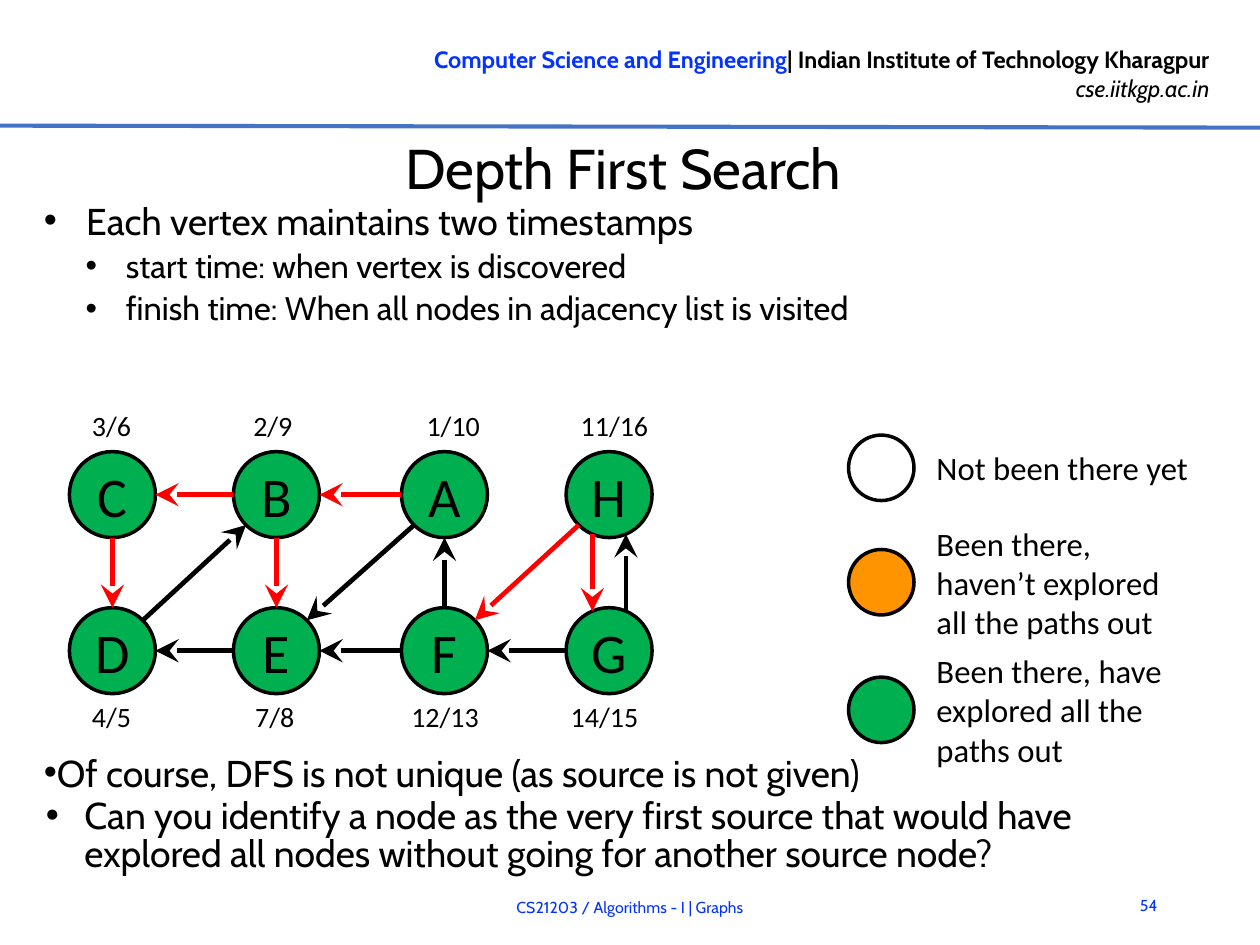
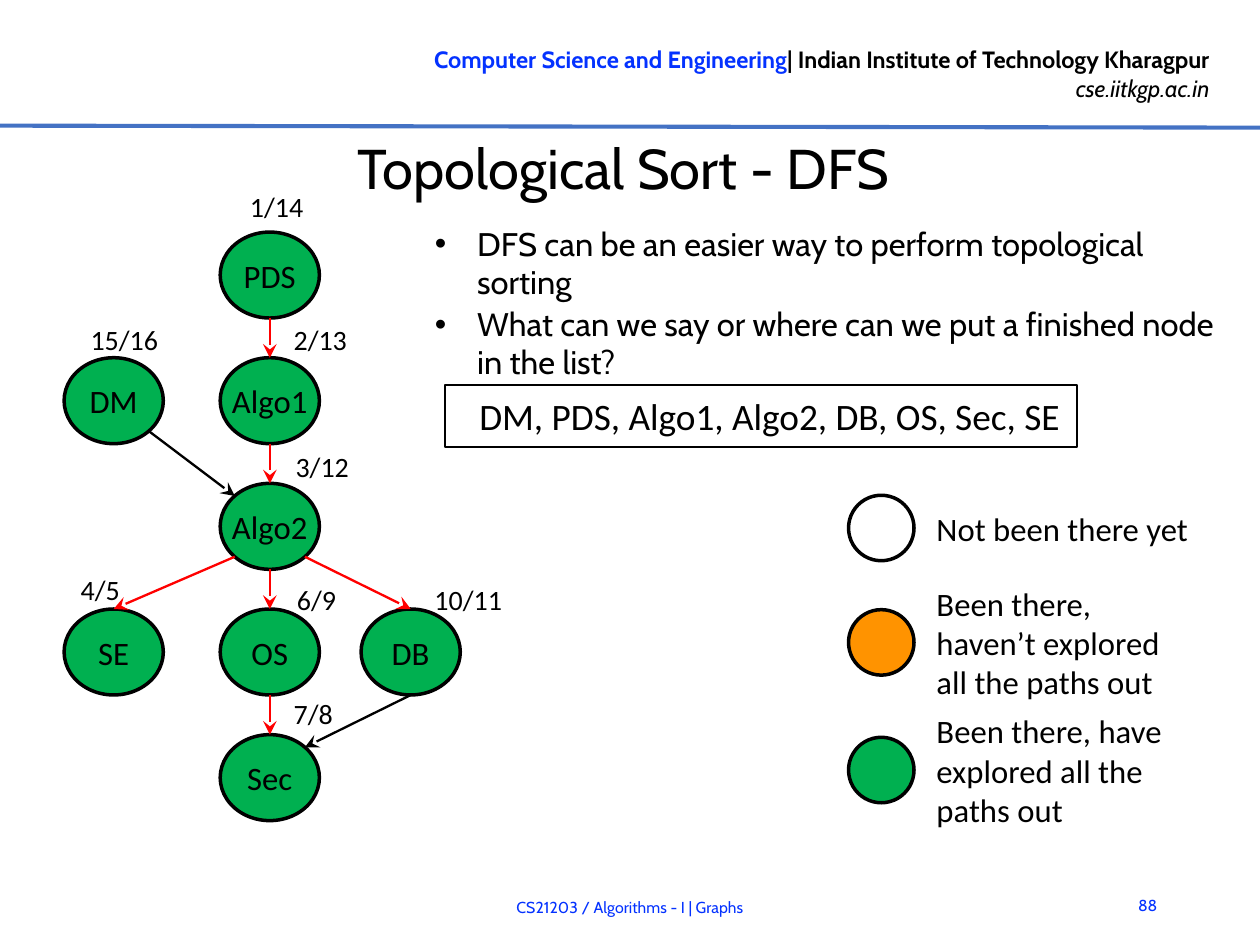
"""Builds two lecture slides on depth first search and topological sorting."""
import math
from dataclasses import dataclass

from lxml import etree
from pptx import Presentation
from pptx.dml.color import RGBColor
from pptx.enum import shapes, text
from pptx.oxml.ns import qn
from pptx.util import Cm, Pt


@dataclass(frozen=True)
class Theme:
    black: RGBColor = RGBColor(0x00, 0x00, 0x00)
    blue: RGBColor = RGBColor(0x04, 0x32, 0xFF)
    rule: RGBColor = RGBColor(0x44, 0x72, 0xC4)
    red: RGBColor = RGBColor(0xFF, 0x00, 0x00)
    orange: RGBColor = RGBColor(0xFF, 0x93, 0x00)
    green: RGBColor = RGBColor(0x00, 0xB0, 0x50)
    heading_font: str = "Cabin"
    diagram_font: str = "Calibri"
    title_size: float = 24
    large_size: float = 16
    medium_size: float = 14
    stamp_size: float = 12
    header_size: float = 10.1
    footer_size: float = 6.8
    outline: float = 1.5


THEME = Theme()
SLIDE_SIZE = (19.05, 14.29)
HEADER = ("Computer Science and Engineering",
          "| Indian Institute of Technology Kharagpur", "cse.iitkgp.ac.in")
FOOTER = "CS21203 / Algorithms - I | Graphs"

LEGEND = [
    (0, None, 4.37, "Not been there yet"),
    (1.73, THEME.orange, 4.29, "Been there, haven’t explored all the paths out"),
    (3.66, THEME.green, 4.29, "Been there, have explored all the paths out"),
]

ANGLES = {"E": 0, "SE": 45, "SSE": 67, "S": 90, "SSW": 113, "SW": 135, "W": 180,
          "NW": 225, "NNW": 247, "N": 270, "NNE": 293, "NE": 315}

SEARCH = {
    "title": "Depth First Search",
    "number": "54",
    "body_box": (0.41, 2.97, 18.24, 10.31),
    "bullets": [
        ("Each vertex maintains two timestamps", 0, THEME.large_size, 0.64, -0.64, 0),
        ("start time: when vertex is discovered", 1, THEME.medium_size, 1.24, -0.61, 1),
        ("finish time: When all nodes in adjacency list is visited", 1,
         THEME.medium_size, 1.24, -0.61, 1),
        ("Of course, DFS is not unique (as source is not given)", 0,
         THEME.large_size, 0, -0.64, 183),
        ("Can you identify a node as the very first source that would have explored "
         "all nodes without going for another source node?", 0,
         THEME.large_size, 0.61, -0.58, 1),
    ],
    "legend_top": 6.58,
    "node_size": (1.3, 1.3),
    "node_text": THEME.title_size,
    "columns": (1.05, 3.53, 6.07, 8.56),
    "rows": (6.83, 9.19),
    "edge_style": (2, "lg"),
    "nodes": [
        ("C", 0, 0, "3/6", 1.14, 6.05),
        ("B", 1, 0, "2/9", 3.58, 6.05),
        ("A", 2, 0, "1/10", 6.2, 6.05),
        ("H", 3, 0, "11/16", 8.53, 6.05),
        ("D", 0, 1, "4/5", 1.14, 10.46),
        ("E", 1, 1, "7/8", 3.61, 10.46),
        ("F", 2, 1, "12/13", 5.97, 10.46),
        ("G", 3, 1, "14/15", 8.38, 10.46),
    ],
    "tree_edges": [
        ("A", "W", "B", "E"), ("B", "W", "C", "E"), ("C", "S", "D", "N"),
        ("B", "S", "E", "N"), ("H", "SW", "F", "NE"), ("H", "SSW", "G", "NNW"),
    ],
    "other_edges": [
        ("F", "N", "A", "S"), ("G", "W", "F", "E"), ("F", "W", "E", "E"),
        ("A", "SW", "E", "NE"), ("E", "W", "D", "E"), ("D", "NE", "B", "SW"),
        ("G", "NNE", "H", "SSE"),
    ],
}

SORT = {
    "title": "Topological Sort - DFS",
    "number": "88",
    "body_box": (6.32, 3.28, 12.4, 3.07),
    "bullets": [
        ("DFS can be an easier way to perform topological sorting", 0,
         THEME.medium_size, 0.64, -0.64, 0),
        ("What can we say or where can we put a finished node in the list?", 0,
         THEME.medium_size, 0.64, -0.64, 1),
    ],
    "legend_top": 7.49,
    "node_size": (1.5, 1.3),
    "node_text": THEME.medium_size,
    "columns": (0.97, 3.33, 5.46),
    "rows": [3.51 + 1.9 * row for row in range(5)],
    "edge_style": (1, "med"),
    "nodes": [
        ("PDS", 1, 0, "1/14", 3.53, 2.74),
        ("DM", 0, 1, "15/16", 1.12, 4.75),
        ("Algo1", 1, 1, "2/13", 4.19, 4.75),
        ("Algo2", 1, 2, "3/12", 4.22, 6.68),
        ("SE", 0, 3, "4/5", 0.97, 8.53),
        ("OS", 1, 3, "6/9", 4.24, 8.69),
        ("DB", 2, 3, "10/11", 6.32, 8.69),
        ("Sec", 1, 4, "7/8", 4.19, 10.41),
    ],
    "tree_edges": [
        ("PDS", "S", "Algo1", "N"), ("Algo1", "S", "Algo2", "N"),
        ("Algo2", "S", "OS", "N"), ("Algo2", "SE", "DB", "N"),
        ("Algo2", "SW", "SE", "N"), ("OS", "S", "Sec", "N"),
    ],
    "other_edges": [("DM", "SE", "Algo2", "NW"), ("DB", "S", "Sec", "NE")],
}
ORDER = "DM, PDS, Algo1, Algo2, DB, OS, Sec, SE"
ORDER_BOX = (6.73, 5.82, 9.55, 0.94)


def lengths(box):
    return [Cm(value) for value in box]


def place(shape, box):
    shape.left, shape.top, shape.width, shape.height = lengths(box)


def style(font, size, name, color=THEME.black):
    font.size, font.name = Pt(size), name
    font.color.rgb = color


def add_text(slide, box, content, size, name, color=THEME.black,
             align=text.PP_ALIGN.LEFT, anchor=text.MSO_ANCHOR.TOP):
    shape = slide.shapes.add_textbox(*lengths(box))
    frame = shape.text_frame
    frame.word_wrap = True
    frame.vertical_anchor = anchor
    paragraph = frame.paragraphs[0]
    paragraph.text, paragraph.alignment = content, align
    style(paragraph.font, size, name, color)
    return shape


def add_outlined(slide, preset, box, fill=None, width=THEME.outline):
    shape = slide.shapes.add_shape(preset, *lengths(box))
    shape.shadow.inherit = False
    shape.line.color.rgb, shape.line.width = THEME.black, Pt(width)
    if fill is None:
        shape.fill.background()
    else:
        shape.fill.solid()
        shape.fill.fore_color.rgb = fill
    return shape


def add_line(slide, start, end, color, width, arrow=None):
    line = slide.shapes.add_connector(
        shapes.MSO_CONNECTOR.STRAIGHT, *lengths((*start, *end)))
    line.line.color.rgb, line.line.width = color, Pt(width)
    if arrow:
        etree.SubElement(line.line._get_or_add_ln(), qn("a:tailEnd"),
                         type="stealth", w=arrow, len=arrow)
    etree.SubElement(line.element.spPr, qn("a:effectLst"))
    return line


def add_header(slide):
    department, institute, site = HEADER
    banner = slide.shapes.add_textbox(*lengths((4.85, 0.56, 13.69, 1.12)))
    frame = banner.text_frame
    frame.word_wrap = True
    first, second = frame.paragraphs[0], frame.add_paragraph()
    for paragraph in (first, second):
        paragraph.alignment = text.PP_ALIGN.RIGHT
        style(paragraph.font, THEME.header_size, THEME.heading_font)
    first.font.bold = True
    for content in (department, institute):
        first.add_run().text = content
    first.runs[0].font.color.rgb = THEME.blue
    second.text, second.font.italic = site, True
    rule = add_line(slide, (0, 1.9), (SLIDE_SIZE[0], 1.93), THEME.rule, 1.75)
    for shape in (banner, rule):
        slide.slide_layout.shapes.element.append(shape.element)


def fill_title(shape, content):
    place(shape, (0.61, 2.01, 17.63, 1.04))
    frame = shape.text_frame
    frame.auto_size, frame.vertical_anchor = text.MSO_AUTO_SIZE.NONE, text.MSO_ANCHOR.MIDDLE
    frame.margin_left = frame.margin_right = frame.margin_top = frame.margin_bottom = 0
    paragraph = frame.paragraphs[0]
    paragraph.text, paragraph.alignment = content, text.PP_ALIGN.CENTER
    style(paragraph.font, THEME.title_size, THEME.heading_font)


def fill_body(shape, box, bullets):
    place(shape, box)
    frame = shape.text_frame
    frame.auto_size, frame.vertical_anchor = text.MSO_AUTO_SIZE.NONE, text.MSO_ANCHOR.TOP
    for index, (content, level, size, margin, indent, before) in enumerate(bullets):
        paragraph = frame.add_paragraph() if index else frame.paragraphs[0]
        paragraph.text, paragraph.level = content, level
        paragraph.line_spacing = Pt(16.2)
        paragraph.space_before, paragraph.space_after = Pt(before), Pt(1)
        properties = paragraph._p.get_or_add_pPr()
        properties.set("marL", str(Cm(margin)))
        properties.set("indent", str(Cm(indent)))
        etree.SubElement(properties, qn("a:buFont"), typeface="Arial")
        etree.SubElement(properties, qn("a:buChar"), char="•")
        style(paragraph.font, size, THEME.heading_font)


def add_graph(slide, content):
    width, height = content["node_size"]
    centres = {}
    for name, column, row, stamp, stamp_left, stamp_top in content["nodes"]:
        left, top = content["columns"][column], content["rows"][row]
        centres[name] = (left + width / 2, top + height / 2)
        node = add_outlined(slide, shapes.MSO_SHAPE.OVAL,
                            (left, top, width, height), THEME.green)
        frame = node.text_frame
        frame.word_wrap, frame.vertical_anchor = False, text.MSO_ANCHOR.MIDDLE
        paragraph = frame.paragraphs[0]
        paragraph.text, paragraph.alignment = name, text.PP_ALIGN.CENTER
        style(paragraph.font, content["node_text"], THEME.diagram_font)
        add_text(slide, (stamp_left, stamp_top, 1.6, 0.76), stamp,
                 THEME.stamp_size, THEME.diagram_font)

    def port(name, side):
        x, y = centres[name]
        angle = math.radians(ANGLES[side])
        return x + width / 2 * math.cos(angle), y + height / 2 * math.sin(angle)

    for key, color in (("tree_edges", THEME.red), ("other_edges", THEME.black)):
        for source, source_side, target, target_side in content[key]:
            add_line(slide, port(source, source_side), port(target, target_side),
                     color, *content["edge_style"])


def add_legend(slide, top):
    diameter, text_height = 0.99, 2.06
    for offset, fill, width, content in LEGEND:
        circle_top = top + offset
        add_outlined(slide, shapes.MSO_SHAPE.OVAL,
                     (12.83, circle_top, diameter, diameter), fill)
        text_top = circle_top + (diameter - text_height) / 2
        add_text(slide, (13.91, text_top, width, text_height), content,
                 THEME.medium_size, THEME.diagram_font, anchor=text.MSO_ANCHOR.MIDDLE)


def add_order(slide):
    box = add_outlined(slide, shapes.MSO_SHAPE.RECTANGLE, ORDER_BOX, width=0.75)
    box.text_frame.vertical_anchor = text.MSO_ANCHOR.TOP
    paragraph = box.text_frame.paragraphs[0]
    paragraph.text, paragraph.alignment = ORDER, text.PP_ALIGN.RIGHT
    style(paragraph.font, THEME.large_size, THEME.diagram_font)


def add_slide(presentation, content):
    slide = presentation.slides.add_slide(presentation.slide_layouts[1])
    fill_title(slide.shapes.title, content["title"])
    fill_body(slide.placeholders[1], content["body_box"], content["bullets"])
    for box, label, align in (
            ((3.15, 13.34, 12.75, 0.76), FOOTER, text.PP_ALIGN.CENTER),
            ((16.81, 13.31, 0.94, 0.76), content["number"], text.PP_ALIGN.RIGHT)):
        add_text(slide, box, label, THEME.footer_size, THEME.heading_font,
                 THEME.blue, align, text.MSO_ANCHOR.MIDDLE)
    add_graph(slide, content)
    add_legend(slide, content["legend_top"])
    return slide


def main():
    presentation = Presentation()
    presentation.slide_width, presentation.slide_height = lengths(SLIDE_SIZE)
    add_header(add_slide(presentation, SEARCH))
    add_order(add_slide(presentation, SORT))
    presentation.save("out.pptx")


if __name__ == "__main__":
    main()
